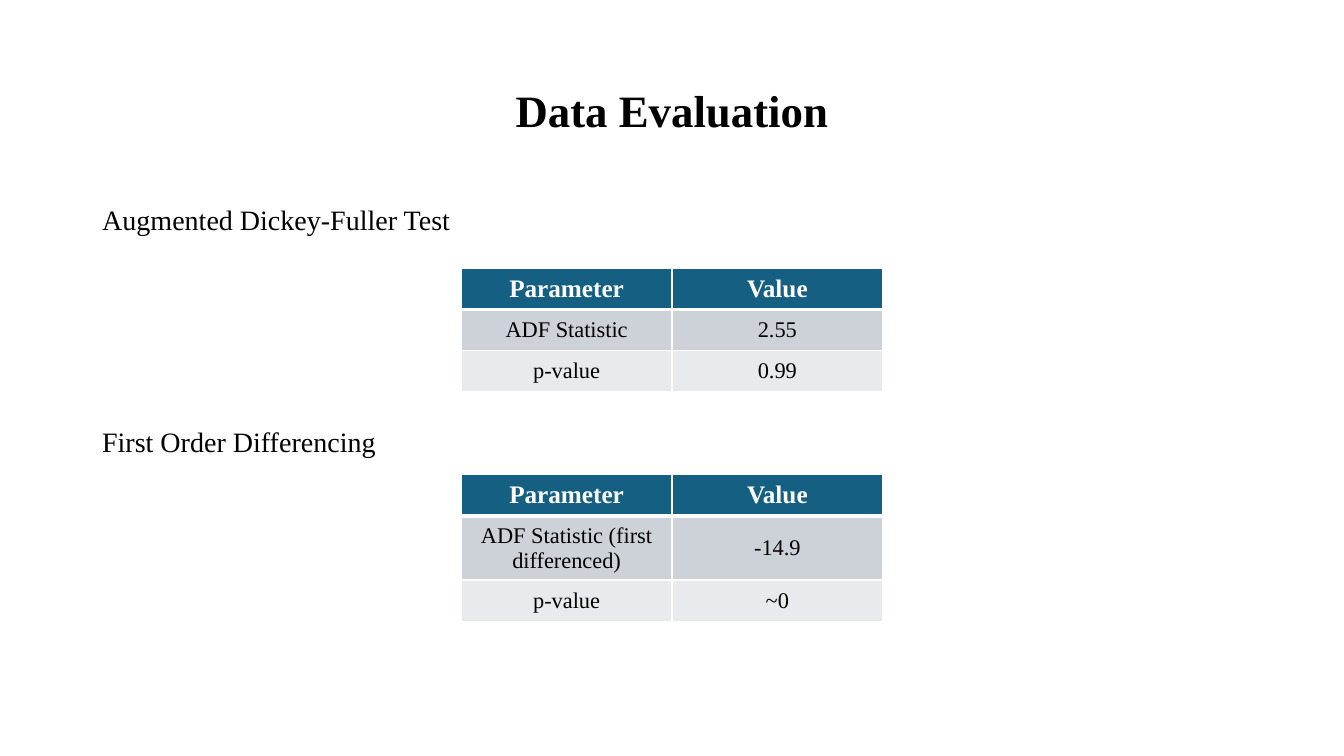
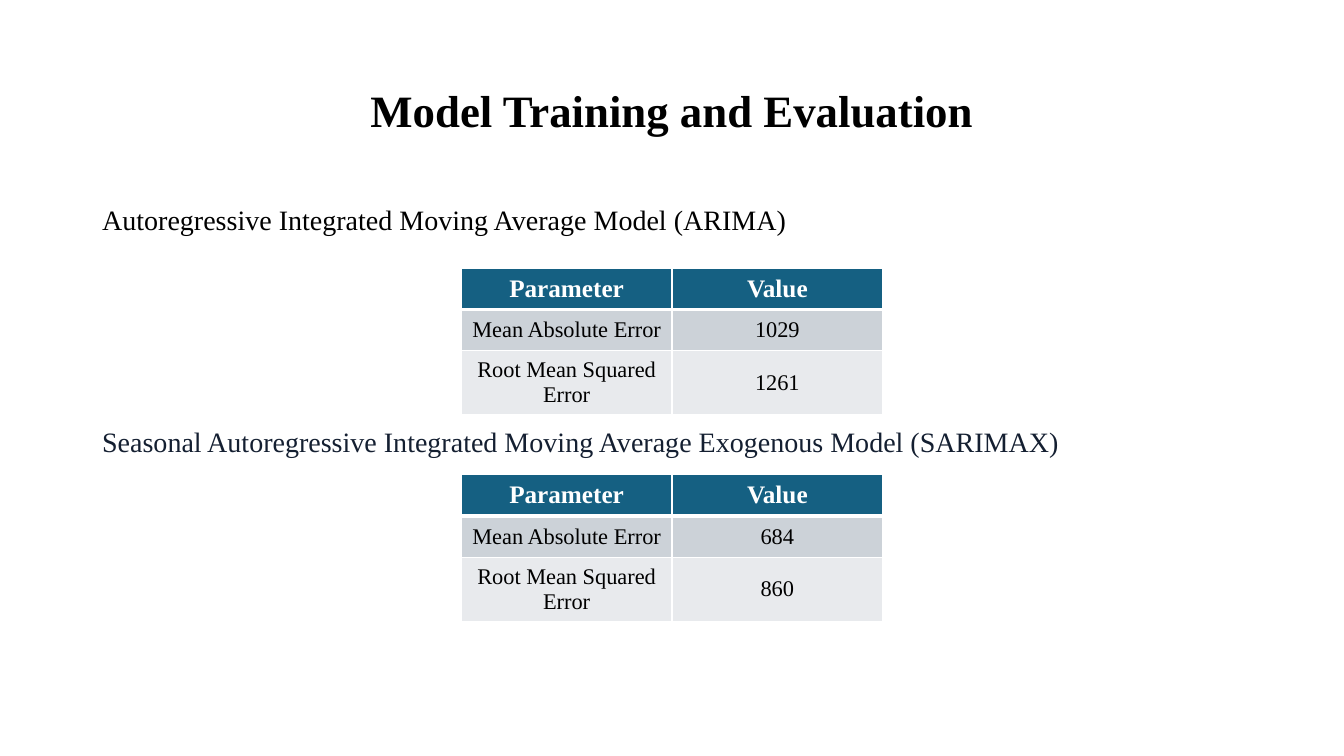
from lxml.etree import SubElement
from pptx import Presentation
from pptx.dml.color import RGBColor
from pptx.enum.text import MSO_ANCHOR as Anchor, PP_ALIGN as Align
from pptx.oxml.ns import qn
from pptx.util import Inches, Pt

COLORS = {
    "text": "000000", "navy": "141F31", "white": "FFFFFF",
    "header": "156082", "band": "CCD2D8", "light": "E8EAED",
}
FONT = "Times New Roman"
W, H = 13.33, 7.5
CONTENT_W, TABLE_W, ROW_H = 11.5, 4.18, 0.41
LEFT = (W - CONTENT_W) / 2
TITLE_BOX = (LEFT, 0.4, CONTENT_W, 1.45)
BODY_BOX = (LEFT, 2, CONTENT_W, 4.76)
TABLE_TOPS = (2.66, 4.71)
HEADING_SPACE = (10, 137)

SLIDES = [
    ("Data Evaluation", [
        ("Augmented Dickey-Fuller Test", "text",
         [("ADF Statistic", "2.55"), ("p-value", "0.99")]),
        ("First Order Differencing", "text",
         [("ADF Statistic (first differenced)", "-14.9"), ("p-value", "~0")]),
    ]),
    ("Model Training and Evaluation", [
        ("Autoregressive Integrated Moving Average Model (ARIMA)", "text",
         [("Mean Absolute Error", "1029"), ("Root Mean Squared Error", "1261")]),
        ("Seasonal Autoregressive Integrated Moving Average Exogenous Model (SARIMAX)", "navy",
         [("Mean Absolute Error", "684"), ("Root Mean Squared Error", "860")]),
    ]),
]


def rgb(name):
    return RGBColor.from_string(COLORS[name])


def style(p, size, color="text", bold=False, align=Align.LEFT):
    p.alignment = align
    font = p.font
    font.name, font.size, font.bold = FONT, Pt(size), bold
    font.color.rgb = rgb(color)


def add_text_frame(s, box, anchor):
    tf = s.shapes.add_textbox(*map(Inches, box)).text_frame
    tf.word_wrap = True
    tf.vertical_anchor = anchor
    return tf


def add_title(s, box, text):
    p = add_text_frame(s, box, Anchor.MIDDLE).paragraphs[0]
    p.text = text
    p.line_spacing = 0.9
    style(p, 32, bold=True, align=Align.CENTER)


def add_headings(s, box, sections):
    tf = add_text_frame(s, box, Anchor.TOP)
    for i, (heading, color, _) in enumerate(sections):
        p = tf.add_paragraph() if i else tf.paragraphs[0]
        p.text = heading
        p.line_spacing = 0.9
        p.space_before = Pt(HEADING_SPACE[i])
        style(p, 20, color)


def set_borders(cell, top, bottom):
    tcPr = cell._tc.get_or_add_tcPr()
    for side, width in (("L", 1), ("R", 1), ("T", top), ("B", bottom)):
        ln = SubElement(tcPr, qn(f"a:ln{side}"), w=str(Pt(width)))
        fill = SubElement(ln, qn("a:solidFill"))
        SubElement(fill, qn("a:srgbClr"), val=COLORS["white"])


def add_value_table(s, box, rows):
    rows = [("Parameter", "Value"), *rows]
    table = s.shapes.add_table(len(rows), 2, *map(Inches, box)).table
    for r, row in enumerate(rows):
        header = r == 0
        fill = "header" if header else ("light", "band")[r % 2]
        for c, text in enumerate(row):
            cell = table.cell(r, c)
            set_borders(cell, 3 if r == 1 else 1, 3 if header else 1)
            cell.fill.solid()
            cell.fill.fore_color.rgb = rgb(fill)
            cell.vertical_anchor = Anchor.MIDDLE
            cell.text = text
            style(cell.text_frame.paragraphs[0], 18 if header else 16,
                  "white" if header else "text", header, Align.CENTER)


def add_results_slide(prs, title, sections):
    s = prs.slides.add_slide(prs.slide_layouts[6])
    add_title(s, TITLE_BOX, title)
    add_headings(s, BODY_BOX, sections)
    for top, (_, _, rows) in zip(TABLE_TOPS, sections):
        box = ((W - TABLE_W) / 2, top, TABLE_W, ROW_H * (len(rows) + 1))
        add_value_table(s, box, rows)


def main():
    prs = Presentation()
    prs.slide_width, prs.slide_height = Inches(W), Inches(H)
    for title, sections in SLIDES:
        add_results_slide(prs, title, sections)
    prs.save("out.pptx")


if __name__ == "__main__":
    main()
